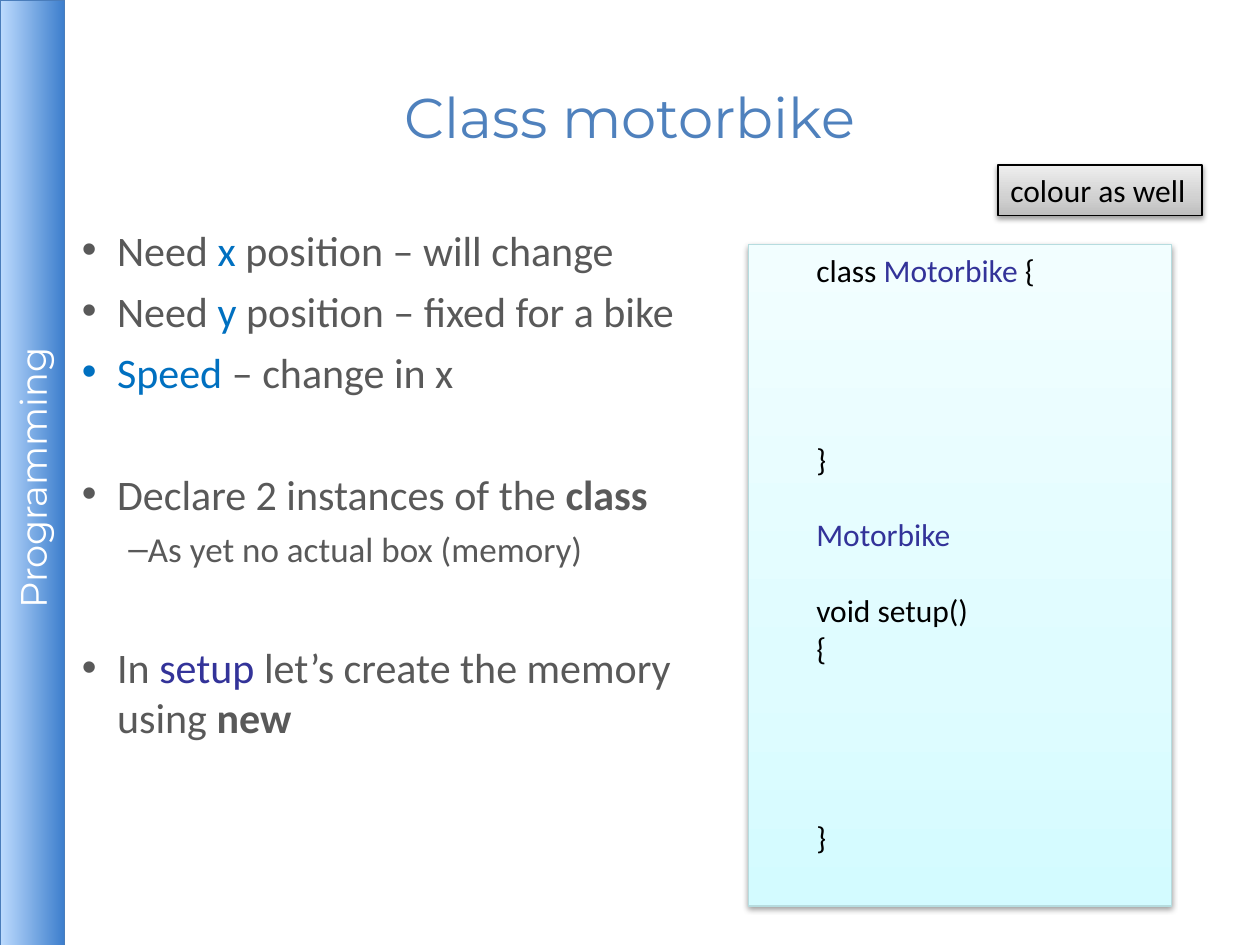
from lxml.etree import SubElement
from pptx import Presentation
from pptx.dml.color import RGBColor
from pptx.enum.shapes import MSO_SHAPE as Shape
from pptx.enum.text import MSO_ANCHOR as Anchor, PP_ALIGN as Align
from pptx.oxml.ns import qn
from pptx.util import Inches, Pt

THEME = {
    "heading": "Montserrat", "body": "Calibri",
    "title_size": 32, "side_size": 21, "point_size": 24, "sub_size": 20, "code_size": 18,
    "title": "4F81BD", "side": "FFFFFF", "text": "595959", "code": "000000",
    "accent": "0070C0", "name": "333399",
    "side_line": "4A7DBB", "code_line": "B6DCDF", "note_line": "000000",
    "side_fill": [(0, "BDDBFE"), (100, "3E7FCD")],
    "code_fill": [(0, "D3FBFF"), (35, "DFFCFF"), (100, "F2FEFF")],
    "note_fill": [(0, "BDBDBD"), (35, "D1D1D1"), (100, "EEEEEE")],
    "side_shadow": (35, 0, 1.8), "box_shadow": (38, 3.1, 1.6),
}
INSET = 0.04
POINT_GAP, SUB_GAP = 6, 5.2
POINT_BREAK, CODE_LINE = 35, 21.6

TITLE = "Class motorbike"
SIDE_LABEL = "Programming "
NOTE = "colour as well"
# level, breaks before, runs of (text, colour, bold)
POINTS = [
    (0, 0, [("Need ", "text", False), ("x", "accent", False),
            (" position – will change", "text", False)]),
    (0, 0, [("Need ", "text", False), ("y", "accent", False),
            (" position – fixed for a bike", "text", False)]),
    (0, 0, [("Speed", "accent", False), (" – change in x", "text", False)]),
    (0, 1, [("Declare 2 instances of the ", "text", False), ("class", "text", True)]),
    (1, 0, [("As yet no actual box (memory)", "text", False)]),
    (0, 1, [("In ", "text", False), ("setup", "name", False),
            (" let’s create the memory using ", "text", False), ("new", "text", True)]),
]
CODE = [
    (0, [("class ", "code", False), ("Motorbike", "name", False), (" {", "code", False)]),
    (4, [("}", "code", False)]),
    (1, [("Motorbike", "name", False)]),
    (1, [("void setup()", "code", False)]),
    (0, [("{", "code", False)]),
    (4, [("}", "code", False)]),
]


def write(paragraph, runs, size, family="body"):
    """Fill a paragraph with coloured runs."""
    paragraph.font.size = Pt(size)
    paragraph.font.name = THEME[family]
    for text, colour, bold in runs:
        run = paragraph.add_run()
        run.text = text
        run.font.color.rgb = RGBColor.from_string(THEME[colour])
        if bold:
            run.font.bold = True


def indent(paragraph, margin, first, bullet=None):
    """Set the indents and bullet of a paragraph."""
    props = paragraph._p.get_or_add_pPr()
    props.set("marL", str(Inches(margin)))
    props.set("indent", str(Inches(first)))
    if bullet:
        SubElement(props, qn("a:buFont"), typeface="Arial")
        SubElement(props, qn("a:buChar"), char=bullet)


def paragraphs(frame, items):
    """Pair each item with its own paragraph."""
    for index, item in enumerate(items):
        yield (frame.add_paragraph() if index else frame.paragraphs[0]), item


def set_insets(frame):
    """Give a text frame narrow, equal insets."""
    frame.margin_left = frame.margin_right = Inches(INSET)
    frame.margin_top = frame.margin_bottom = Inches(INSET)


def add_panel(slide, place, part, angle, shadow):
    """Add a rectangle with a gradient, a line and a shadow."""
    panel = slide.shapes.add_shape(Shape.RECTANGLE, *map(Inches, place))
    panel.fill.gradient()
    panel.fill.gradient_angle = angle
    stops = panel._element.spPr.find(qn("a:gradFill")).find(qn("a:gsLst"))
    for stop in list(stops):
        stops.remove(stop)
    for position, colour in THEME[f"{part}_fill"]:
        stop = SubElement(stops, qn("a:gs"), pos=str(position * 1000))
        SubElement(stop, qn("a:srgbClr"), val=colour)
    panel.line.color.rgb = RGBColor.from_string(THEME[f"{part}_line"])
    panel.line.width = Pt(0.75)
    panel.shadow.inherit = False
    alpha, blur, distance = THEME[shadow]
    effects = panel._element.spPr.find(qn("a:effectLst"))
    outer = SubElement(effects, qn("a:outerShdw"), blurRad=str(Pt(blur)),
                       dist=str(Pt(distance)), dir="5400000", rotWithShape="0")
    tint = SubElement(outer, qn("a:srgbClr"), val="000000")
    SubElement(tint, qn("a:alpha"), val=str(alpha * 1000))
    panel.text_frame.vertical_anchor = Anchor.TOP
    return panel


def add_text(slide, place):
    """Add a wrapping text box and return its frame."""
    frame = slide.shapes.add_textbox(*map(Inches, place)).text_frame
    frame.word_wrap = True
    set_insets(frame)
    return frame


def main():
    """Build the slide and save it."""
    deck = Presentation()
    deck.slide_width, deck.slide_height = Inches(10), Inches(7.5)
    slide = deck.slides.add_slide(deck.slide_layouts[6])

    sidebar = add_panel(slide, (-3.5, 3.5, 7.51, 0.51), "side", 270, "side_shadow")
    sidebar.rotation = 270
    set_insets(sidebar.text_frame)
    sidebar.text_frame.vertical_anchor = Anchor.MIDDLE
    label = sidebar.text_frame.paragraphs[0]
    label.alignment = Align.CENTER
    write(label, [(SIDE_LABEL, "side", False)], THEME["side_size"], "heading")

    title = add_text(slide, (0.5, 0.3, 9, 1.25))
    title.vertical_anchor = Anchor.MIDDLE
    title.paragraphs[0].alignment = Align.CENTER
    write(title.paragraphs[0], [(TITLE, "title", False)], THEME["title_size"], "heading")

    body = add_text(slide, (0.61, 1.74, 5.33, 5.24))
    levels = [("point_size", POINT_GAP, (0.28, -0.28, "•")),
              ("sub_size", SUB_GAP, (0.34, 0.03, "–"))]
    for paragraph, (level, breaks, runs) in paragraphs(body, POINTS):
        size, gap, layout = levels[level]
        paragraph.level = level
        paragraph.space_before = Pt(gap + breaks * POINT_BREAK)
        indent(paragraph, *layout)
        write(paragraph, runs, THEME[size])

    listing = add_panel(slide, (5.94, 1.94, 3.36, 5.25), "code", 90, "box_shadow")
    for paragraph, (blank_lines, runs) in paragraphs(listing.text_frame, CODE):
        paragraph.level = 1
        paragraph.alignment = Align.LEFT
        paragraph.space_before = Pt(blank_lines * CODE_LINE)
        indent(paragraph, 0.44, 0)
        write(paragraph, runs, THEME["code_size"])

    note = add_panel(slide, (7.92, 1.31, 1.62, 0.4), "note", 90, "box_shadow")
    note.text_frame.word_wrap = False
    note.text_frame.paragraphs[0].alignment = Align.LEFT
    write(note.text_frame.paragraphs[0], [(NOTE, "code", False)], THEME["code_size"])

    deck.save("out.pptx")


if __name__ == "__main__":
    main()
